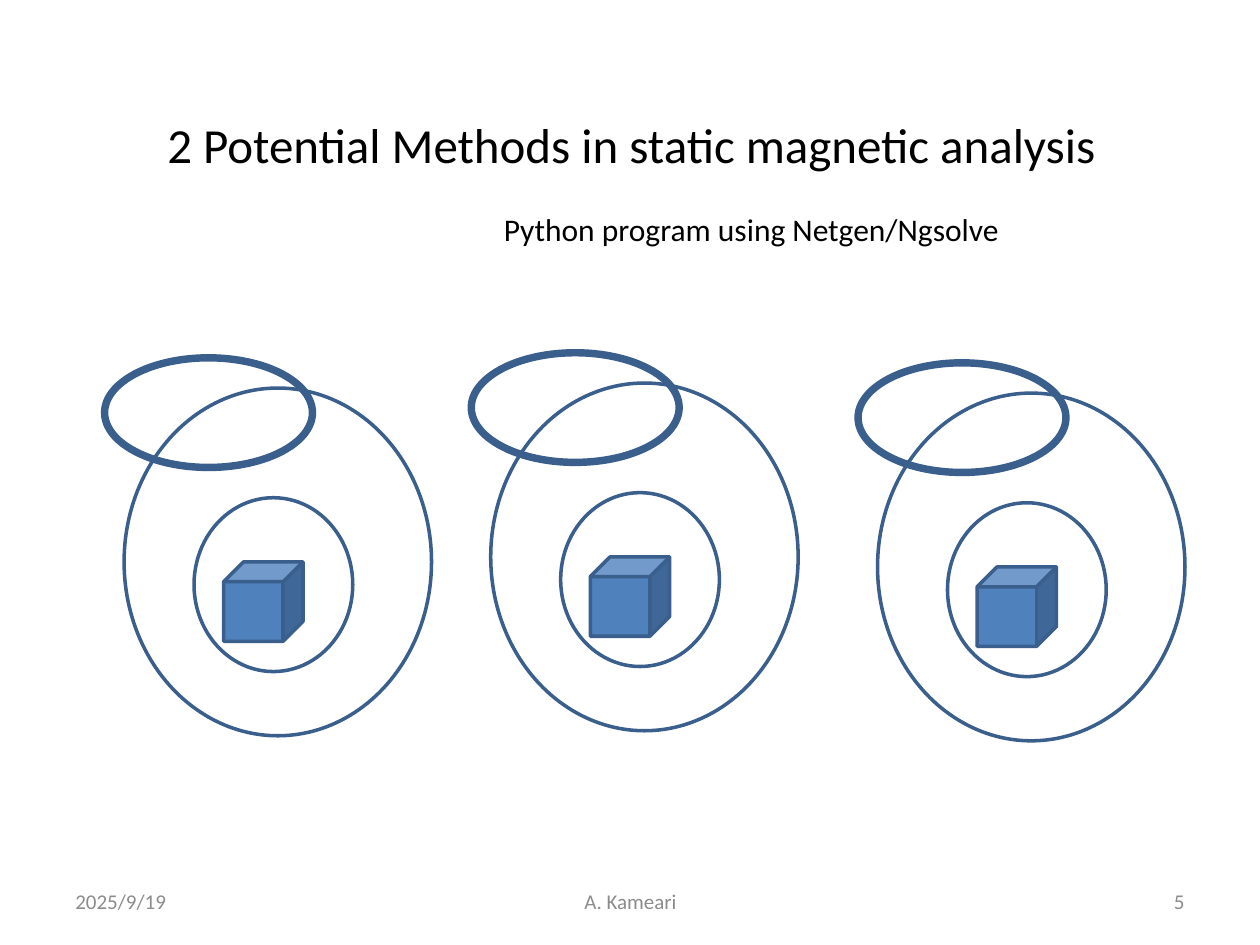
import pptx
import pptx.util
import pptx.dml.color
import pptx.enum.shapes
import pptx.enum.text

COLORS = {"text": "000000", "footer": "8C8C8C", "cube": "4F81BD", "outline": "3A5F8C"}
COLUMNS, ROWS = 100, 75
SHAPE = pptx.enum.shapes.MSO_SHAPE
ALIGN = pptx.enum.text.PP_ALIGN
ANCHOR = pptx.enum.text.MSO_ANCHOR


class SlideBuilder:
    font = "Calibri"

    def __init__(self, prs):
        self.cell_w = prs.slide_width / COLUMNS
        self.cell_h = prs.slide_height / ROWS
        self.slide = prs.slides.add_slide(prs.slide_layouts[5])

    def box(self, col, row, cols, rows):
        return (round(col * self.cell_w), round(row * self.cell_h),
                round(cols * self.cell_w), round(rows * self.cell_h))

    def color(self, name):
        return pptx.dml.color.RGBColor.from_string(COLORS[name])

    def set_text(self, sp, text, size, color, align, anchor):
        tf = sp.text_frame
        tf.word_wrap = True
        tf.vertical_anchor = anchor
        p = tf.paragraphs[0]
        p.text = text
        p.alignment = align
        p.font.name = self.font
        p.font.size = pptx.util.Pt(size)
        p.font.color.rgb = self.color(color)

    def title(self, text, place):
        sp = self.slide.shapes.title
        sp.left, sp.top, sp.width, sp.height = self.box(*place)
        self.set_text(sp, text, 28, "text", ALIGN.CENTER, ANCHOR.MIDDLE)

    def text(self, text, place, size=12, color="footer", align=ALIGN.LEFT, anchor=ANCHOR.MIDDLE):
        sp = self.slide.shapes.add_textbox(*self.box(*place))
        self.set_text(sp, text, size, color, align, anchor)

    def shape(self, group, kind, place, weight=2, fill=None):
        sp = group.shapes.add_shape(kind, *self.box(*place))
        sp.shadow.inherit = False
        if fill:
            sp.fill.solid()
            sp.fill.fore_color.rgb = self.color(fill)
        else:
            sp.fill.background()
        sp.line.color.rgb = self.color("outline")
        sp.line.width = pptx.util.Pt(weight)

    def magnet_model(self, col, row):
        group = self.slide.shapes.add_group_shape()
        self.shape(group, SHAPE.OVAL, (col + 1.55, row + 2.4, 24.4, 27.6))
        self.shape(group, SHAPE.OVAL, (col + 7.1, row + 11.1, 12.6, 13.8))
        self.shape(group, SHAPE.CUBE, (col + 9.45, row + 16.2, 6.3, 6.3), fill="cube")
        self.shape(group, SHAPE.OVAL, (col, row, 16.5, 8.7), weight=4.25)


def main():
    prs = pptx.Presentation()
    prs.slide_width = pptx.util.Inches(10)
    prs.slide_height = pptx.util.Inches(7.5)

    builder = SlideBuilder(prs)
    builder.title("2 Potential Methods in static magnetic analysis", (5.1, 5.2, 90, 12.5))
    builder.text("2025/9/19", (5, 69.5, 23.3, 4))
    builder.text("A. Kameari", (34.2, 69.5, 31.7, 4), align=ALIGN.CENTER)
    builder.text("5", (71.7, 69.5, 23.3, 4), align=ALIGN.RIGHT)
    for col, row in ((8.3, 28.4), (68.1, 28.8), (37.4, 28)):
        builder.magnet_model(col, row)
    builder.text("Python program using Netgen/Ngsolve", (39, 16.2, 42.5, 4),
                 size=18, color="text", anchor=ANCHOR.TOP)

    prs.save("out.pptx")


if __name__ == "__main__":
    main()
